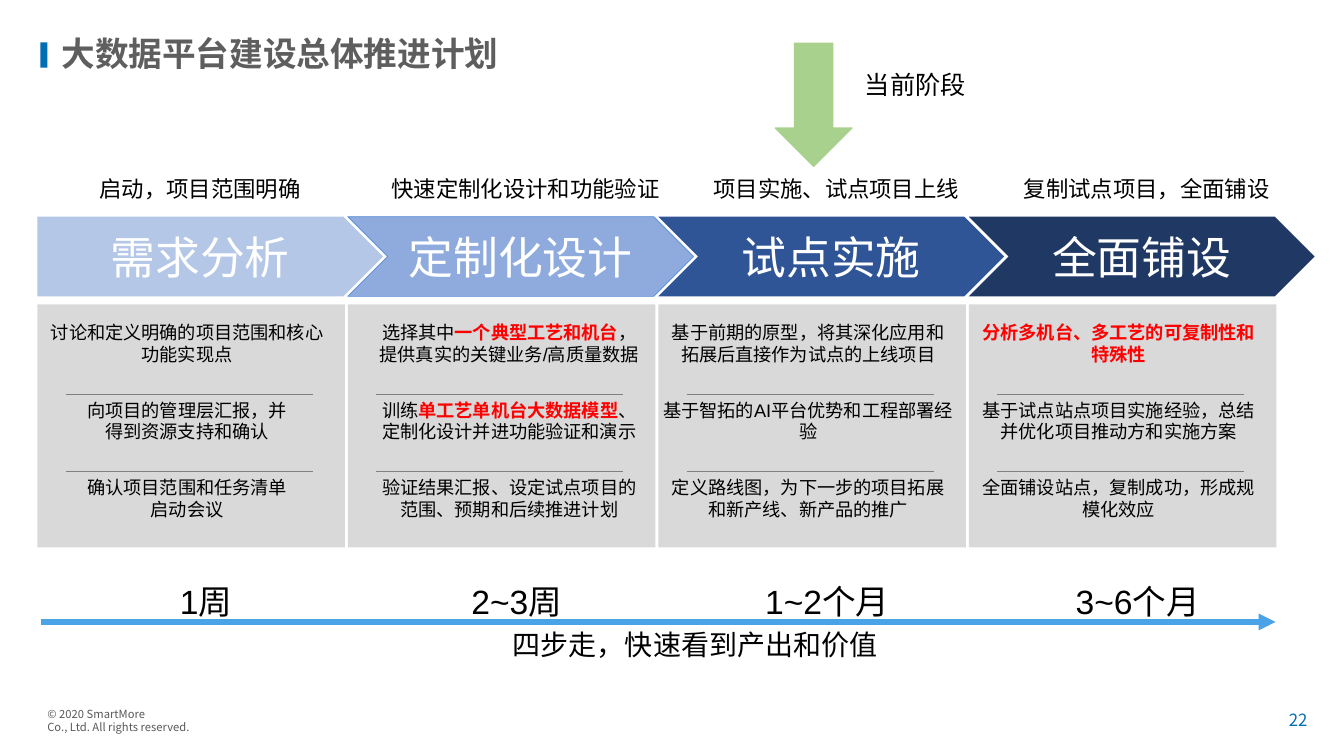
from dataclasses import dataclass

from lxml.etree import SubElement
from pptx import Presentation
from pptx.dml.color import RGBColor
from pptx.enum.shapes import MSO_CONNECTOR, MSO_SHAPE
from pptx.enum.text import MSO_ANCHOR, PP_ALIGN
from pptx.oxml.ns import qn
from pptx.util import Inches, Pt

BLACK = RGBColor(0x00, 0x00, 0x00)
WHITE = RGBColor(0xFF, 0xFF, 0xFF)
RED = RGBColor(0xFF, 0x00, 0x00)
TITLE_GRAY = RGBColor(0x5E, 0x5E, 0x5E)
FOOTER_GRAY = RGBColor(0x59, 0x59, 0x59)
PANEL_GRAY = RGBColor(0xD9, 0xD9, 0xD9)
RULE_GRAY = RGBColor(0x80, 0x80, 0x80)
BRAND_BLUE = RGBColor(0x00, 0x6E, 0xB3)
TIMELINE_BLUE = RGBColor(0x4A, 0xA3, 0xE6)
OUTLINE_BLUE = RGBColor(0x55, 0x8E, 0xD5)
GREEN = RGBColor(0xA9, 0xD1, 0x8E)

FIRST_LEFT = 0.37
STAGE_PITCH = 3.08
PANEL_WIDTH = 3.05
RULE_TOPS = (3.91, 4.68)


@dataclass
class Stage:
    """One step of the plan; *asterisks* in tasks mark emphasis."""
    name: str
    fill: RGBColor
    caption: str
    duration: str
    tasks: tuple
    caption_width: float = 3.43
    tasks_inset: float = 0.05
    tasks_width: float = 2.87
    arrow: int = MSO_SHAPE.CHEVRON
    outline: RGBColor = None


STAGES = (
    Stage("需求分析", RGBColor(0xB4, 0xC7, 0xE7), "启动，项目范围明确", "1周",
          ("讨论和定义明确的项目范围和核心功能实现点",
           "向项目的管理层汇报，并\n得到资源支持和确认",
           "确认项目范围和任务清单\n启动会议"),
          caption_width=3.13, arrow=MSO_SHAPE.PENTAGON),
    Stage("定制化设计", RGBColor(0x8F, 0xAA, 0xDC), "快速定制化设计和功能验证", "2~3周",
          ("选择其中*一个典型工艺和机台*，提供真实的关键业务/高质量数据",
           "训练*单工艺单机台大数据模型*、定制化设计并进功能验证和演示",
           "验证结果汇报、设定试点项目的范围、预期和后续推进计划"),
          tasks_inset=0.26, tasks_width=2.68, outline=OUTLINE_BLUE),
    Stage("试点实施", RGBColor(0x2F, 0x55, 0x97), "项目实施、试点项目上线", "1~2个月",
          ("基于前期的原型，将其深化应用和拓展后直接作为试点的上线项目",
           "基于智拓的AI平台优势和工程部署经验",
           "定义路线图，为下一步的项目拓展和新产线、新产品的推广")),
    Stage("全面铺设", RGBColor(0x20, 0x38, 0x64), "复制试点项目，全面铺设", "3~6个月",
          ("*分析多机台、多工艺的可复制性和特殊性*",
           "基于试点站点项目实施经验，总结并优化项目推动方和实施方案",
           "全面铺设站点，复制成功，形成规模化效应")),
)


class PlanSlide:
    latin_font = "Arial"
    cjk_font = "Noto Sans CJK SC"

    def __init__(self, presentation):
        self.slide = presentation.slides.add_slide(presentation.slide_layouts[5])
        self.shapes = self.slide.shapes

    def fill_frame(self, frame, paragraphs, size, color=BLACK, align=PP_ALIGN.CENTER,
                   font=latin_font, bold=False, gap=0):
        """Fill a frame; odd parts between asterisks become bold red."""
        for index, content in enumerate(paragraphs):
            paragraph = frame.add_paragraph() if index else frame.paragraphs[0]
            paragraph.alignment = align
            if index:
                paragraph.space_before = Pt(gap)
            paragraph.font.size = Pt(size)
            paragraph.font.bold = bold
            paragraph.font.name = font
            paragraph.font.color.rgb = color
            defaults = paragraph._p.pPr.find(qn("a:defRPr"))
            SubElement(defaults, qn("a:ea")).set("typeface", self.cjk_font)
            for part_number, part in enumerate(content.split("*")):
                for line_number, line in enumerate(part.split("\n")):
                    if line_number:
                        paragraph.add_line_break()
                    if not line:
                        continue
                    run = paragraph.add_run()
                    run.text = line
                    if part_number % 2:
                        run.font.bold = True
                        run.font.color.rgb = RED

    def title(self, content, left, top, width, height):
        title = self.shapes.title
        title.left, title.top = Inches(left), Inches(top)
        title.width, title.height = Inches(width), Inches(height)
        title.text_frame.vertical_anchor = MSO_ANCHOR.MIDDLE
        self.fill_frame(title.text_frame, [content], 24, TITLE_GRAY, PP_ALIGN.LEFT,
                        self.cjk_font, bold=True)
        title.text_frame.paragraphs[0].line_spacing = 0.9

    def text(self, paragraphs, left, top, width, height, size, inset=0,
             anchor=MSO_ANCHOR.TOP, wrap=True, **style):
        frame = self.shapes.add_textbox(
            Inches(left), Inches(top), Inches(width), Inches(height)).text_frame
        frame.word_wrap = wrap
        frame.vertical_anchor = anchor
        frame.margin_left = frame.margin_right = Inches(inset)
        frame.margin_top = frame.margin_bottom = Inches(inset)
        self.fill_frame(frame, paragraphs, size, **style)

    def block(self, kind, left, top, width, height, fill, outline=None,
              outline_width=0.5, label=None):
        block = self.shapes.add_shape(
            kind, Inches(left), Inches(top), Inches(width), Inches(height))
        block.shadow.inherit = False
        block.fill.solid()
        block.fill.fore_color.rgb = fill
        if outline is None:
            block.line.fill.background()
        else:
            block.line.color.rgb = outline
            block.line.width = Pt(outline_width)
        if label:
            block.text_frame.vertical_anchor = MSO_ANCHOR.MIDDLE
            self.fill_frame(block.text_frame, [label], 32, WHITE)

    def rule(self, left, right, top, color, width, arrow=False):
        rule = self.shapes.add_connector(
            MSO_CONNECTOR.STRAIGHT, Inches(left), Inches(top), Inches(right), Inches(top))
        rule.line.color.rgb = color
        rule.line.width = Pt(width)
        properties = rule._element.spPr
        if arrow:
            SubElement(properties.find(qn("a:ln")), qn("a:tailEnd")).set("type", "triangle")
        SubElement(properties, qn("a:effectLst"))

    def stage(self, stage, left):
        self.block(MSO_SHAPE.RECTANGLE, left, 3.02, PANEL_WIDTH, 2.41, PANEL_GRAY)
        self.block(stage.arrow, left, 2.15, 3.43, 0.79, stage.fill, stage.outline,
                   label=stage.name)
        self.text([stage.caption], left + 0.05, 1.74, stage.caption_width, 0.27, 16)
        self.text(stage.tasks, left + stage.tasks_inset, 3.19, stage.tasks_width, 1.99,
                  13, gap=24)
        for top in RULE_TOPS:
            self.rule(left + 0.28, left + 2.73, top, RULE_GRAY, 0.75)
        self.text([stage.duration], left + 0.06, 5.76, 3.23, 0.4, 24)


def main():
    presentation = Presentation()
    presentation.slide_width = Inches(13.33)
    presentation.slide_height = Inches(7.5)
    plan = PlanSlide(presentation)

    plan.block(MSO_SHAPE.RECTANGLE, 0.4, 0.42, 0.07, 0.25, BRAND_BLUE)
    plan.title("大数据平台建设总体推进计划", 0.51, 0.33, 9.91, 0.45)
    for number, stage in enumerate(STAGES):
        plan.stage(stage, FIRST_LEFT + number * STAGE_PITCH)

    plan.rule(0.41, 12.65, 6.17, TIMELINE_BLUE, 4, arrow=True)
    plan.text(["四步走，快速看到产出和价值"], 1.85, 6.23, 10.09, 0.34, 20)

    plan.block(MSO_SHAPE.DOWN_ARROW, 7.69, 0.43, 0.76, 1.22, GREEN, GREEN, 1)
    plan.text(["当前阶段"], 8.48, 0.64, 1.41, 0.4, 18, inset=0.1,
              anchor=MSO_ANCHOR.MIDDLE, align=PP_ALIGN.LEFT, font=plan.cjk_font)

    plan.text(["© 2020 SmartMore\nCo., Ltd. All rights reserved."], 0.4, 7.01, 2.47, 0.28, 8,
              inset=0.07, anchor=MSO_ANCHOR.MIDDLE, color=FOOTER_GRAY,
              align=PP_ALIGN.LEFT, font=plan.cjk_font)
    plan.text(["22"], 12.7, 6.97, 0.35, 0.35, 12, inset=0.07, anchor=MSO_ANCHOR.MIDDLE,
              wrap=False, color=BRAND_BLUE, font=plan.cjk_font)

    presentation.save("out.pptx")


if __name__ == "__main__":
    main()
